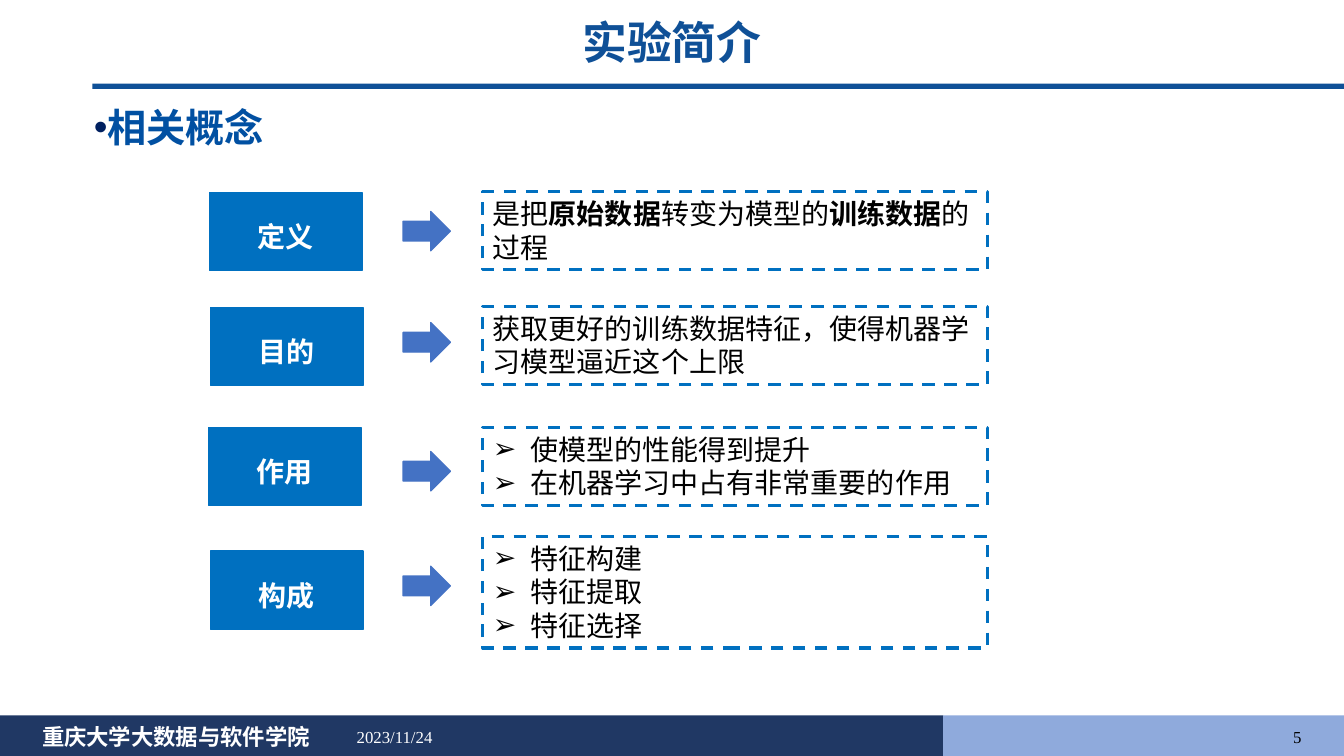
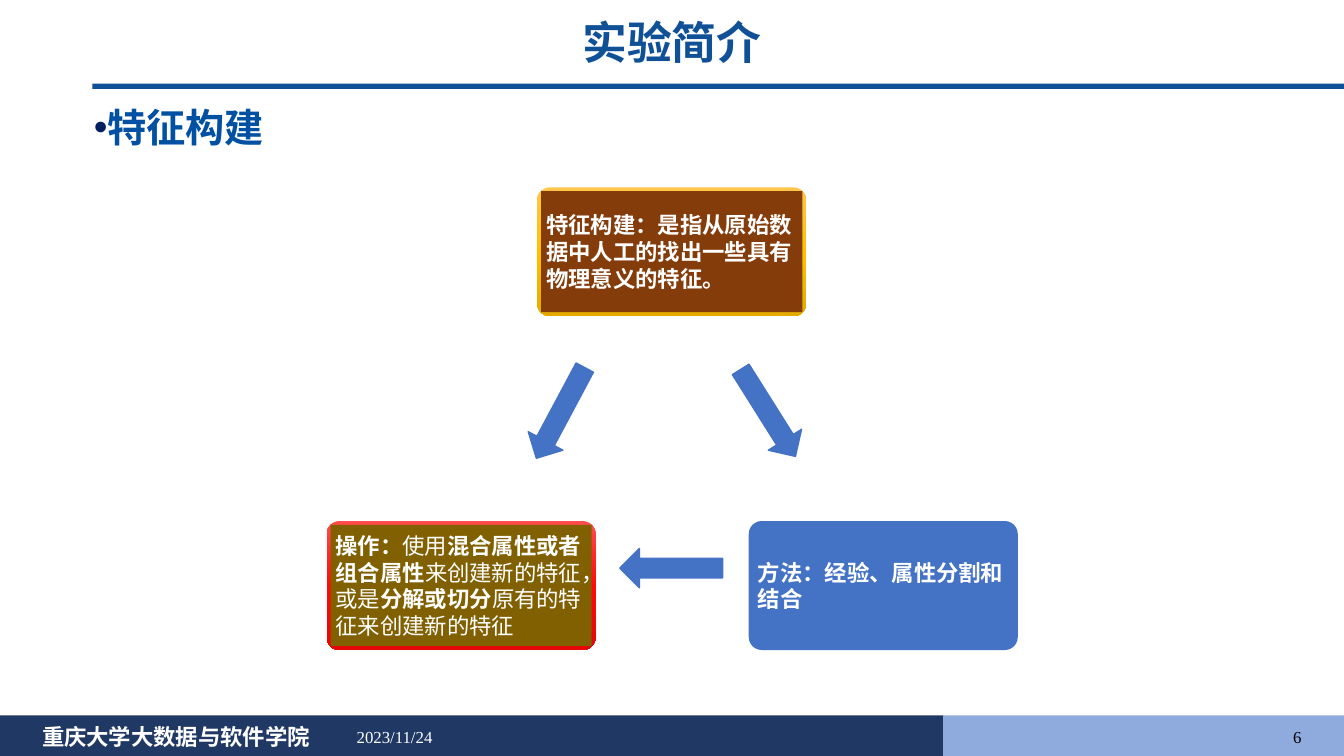
import copy
import pptx
import pptx.dml.color
import pptx.enum.dml
import pptx.enum.shapes
import pptx.enum.text
import pptx.oxml
import pptx.oxml.ns
import pptx.util

Cm, Pt = pptx.util.Cm, pptx.util.Pt
RGBColor = pptx.dml.color.RGBColor
Kind = pptx.enum.shapes.MSO_SHAPE
Align = pptx.enum.text.PP_ALIGN
Anchor = pptx.enum.text.MSO_ANCHOR
qn = pptx.oxml.ns.qn

WHITE = RGBColor(0xFF, 0xFF, 0xFF)
BLACK = RGBColor(0, 0, 0)
TITLE = RGBColor(0x0F, 0x50, 0x97)
HEAD = RGBColor(0x01, 0x50, 0xA2)
DOT = RGBColor(0x00, 0x20, 0x60)
NAVY = RGBColor(0x20, 0x38, 0x64)
PALE = RGBColor(0x8F, 0xAA, 0xDC)
BLUE = RGBColor(0x00, 0x70, 0xC0)
ARROW = RGBColor(0x44, 0x72, 0xC4)
BROWN = RGBColor(0x84, 0x3C, 0x0B)
OLIVE = RGBColor(0x80, 0x60, 0x00)
GOLDS = [RGBColor(0xFF, 0xC6, 0x4B), RGBColor(0xFF, 0xC0, 0x00), RGBColor(0xE3, 0xAB, 0x00)]
REDS = [RGBColor(0xFF, 0x4C, 0x4C), RGBColor(0xFF, 0x0B, 0x0B), RGBColor(0xE5, 0x07, 0x07)]
SERIF, SANS = "Times New Roman", "Noto Sans CJK SC"


def draw(slide, kind, box, fill=None, line=None, width=1):
    shape = slide.shapes.add_shape(kind, *[Cm(n) for n in box])
    shape.shadow.inherit = False
    if fill is None:
        shape.fill.background()
    else:
        shape.fill.solid()
        shape.fill.fore_color.rgb = fill
    if line is None:
        shape.line.fill.background()
    else:
        shape.line.color.rgb = line
        shape.line.width = Pt(width)
    return shape


def write(frame, lines, size, color, font=SANS, bold=False, align=Align.LEFT,
          anchor=Anchor.TOP, bullet=None):
    """Fill a frame; stars enclose bold parts; bullet is (char, colour, margin, indent)."""
    frame.word_wrap = True
    frame.auto_size = pptx.enum.text.MSO_AUTO_SIZE.NONE
    frame.vertical_anchor = anchor
    for i, line in enumerate(lines):
        par = frame.add_paragraph() if i else frame.paragraphs[0]
        par.alignment = align
        par.space_before = Pt(0)
        for j, part in enumerate(line.split("*")):
            if not part:
                continue
            run = par.add_run()
            run.text = part
            run.font.size = Pt(size)
            run.font.bold = bold or j % 2 == 1
            run.font.name = font
            run.font.color.rgb = color
            east = run.font._element.find(qn("a:latin"))
            east.addnext(east.makeelement(qn("a:ea"), {"typeface": SANS}))
        if bullet:
            char, tint, left, indent = bullet
            props = par._p.get_or_add_pPr()
            props.set("marL", str(Cm(left)))
            props.set("indent", str(Cm(indent)))
            ns = pptx.oxml.ns.nsdecls("a")
            for xml in (f'<a:buClr {ns}><a:srgbClr val="{tint}"/></a:buClr>',
                        f'<a:buFont {ns} typeface="Arial"/>',
                        f'<a:buChar {ns} char="{char}"/>'):
                props.append(pptx.oxml.parse_xml(xml))


prs = pptx.Presentation()
prs.slide_width, prs.slide_height = Cm(33.87), Cm(19.05)

# Title, heading, rule and footer on both slides
for page, head in ((5, "相关概念"), (6, "特征构建")):
    slide = prs.slides.add_slide(prs.slide_layouts[1])
    title, body = slide.placeholders
    for holder, box in ((title, (0, 0.25, 33.87, 1.63)), (body, (2.11, 2.24, 16.94, 1.57))):
        holder.left, holder.top, holder.width, holder.height = [Cm(n) for n in box]
    write(title.text_frame, ["实验简介"], 32, TITLE, SERIF, True, Align.CENTER)
    write(body.text_frame, [head], 28, HEAD, SERIF, True, Align.JUSTIFY,
          bullet=("•", DOT, 0, -0.71))
    body.text_frame.paragraphs[0].line_spacing = 1.2
    for box, fill in (((2.33, 2.11, 31.54, 0.13), TITLE),
                      ((0, 18.03, 23.77, 1.02), NAVY),
                      ((23.77, 18.03, 10.1, 1.02), PALE)):
        draw(slide, Kind.RECTANGLE, box, fill)
    for text, left, width, size, color, bold, align in (
            ("重庆大学大数据与软件学院", 0.81, 8.1, 16, WHITE, True, Align.LEFT),
            ("2023/11/24", 8.74, 7.62, 12, WHITE, False, Align.LEFT),
            (str(page), 25.43, 7.62, 12, BLACK, False, Align.RIGHT)):
        note = slide.shapes.add_textbox(Cm(left), Cm(18.06), Cm(width), Cm(1.02))
        write(note.text_frame, [text], size, color, SERIF, bold, align, Anchor.MIDDLE)

first, second = prs.slides

# Concepts: label, arrow, dashed box
rows = [
    ("定义", 5.28, 4.85, 5.33, 4.83, 1.96, ["是把*原始数据*转变为模型的*训练数据*的过程"], False),
    ("目的", 5.31, 7.75, 8.13, 7.72, 1.96,
     ["获取更好的训练数据特征，使得机器学习模型逼近这个上限"], False),
    ("作用", 5.26, 10.77, 11.38, 10.77, 1.96,
     ["使模型的性能得到提升", "在机器学习中占有非常重要的作用"], True),
    ("构成", 5.31, 13.89, 14.27, 13.51, 2.82, ["特征构建", "特征提取", "特征选择"], True),
]
for name, left, top, mid, high, tall, lines, listed in rows:
    label = draw(first, Kind.RECTANGLE, (left, top, 3.84, 1.97), BLUE, BLUE)
    frame = label.text_frame
    frame.margin_left = frame.margin_right = Cm(0.18)
    frame.margin_top = frame.margin_bottom = Cm(0.1)
    write(frame, [name], 20, WHITE, SANS, True, Align.CENTER, Anchor.MIDDLE)
    frame.paragraphs[0].line_spacing = 1.3
    frame.paragraphs[0].space_before = Pt(12)
    draw(first, Kind.RIGHT_ARROW, (10.16, mid, 1.19, 0.99), ARROW, ARROW)
    panel = draw(first, Kind.RECTANGLE, (12.17, high, 12.72, tall), None, BLUE, 2.25)
    panel.line.dash_style = pptx.enum.dml.MSO_LINE.DASH
    write(panel.text_frame, lines, 20, BLACK,
          bullet=("➢", BLACK, 0.95, -0.95) if listed else None)

# Feature building: three cards joined by arrows
cards = [
    (13.54, 4.72, GOLDS, BROWN, "*特征构建：是指从原始数据中人工的找出一些具有物理意义的特征。*"),
    (18.87, 13.13, None, ARROW, "*方法：经验、属性分割和结合*"),
    (8.23, 13.13, REDS, OLIVE,
     "*操作：*使用*混合属性或者组合属性*来创建新的特征，或是*分解或切分*原有的特征来创建新的特征"),
]
for left, top, shades, fill, text in cards:
    rim = draw(second, Kind.ROUNDED_RECTANGLE, (left, top, 6.78, 3.25), fill)
    rim.adjustments[0] = 0.1
    if shades:
        rim.fill.gradient()
        rim.fill.gradient_angle = 270
        stops = rim._element.spPr.find(".//" + qn("a:gsLst"))
        stops.insert(1, copy.deepcopy(stops[0]))
        for i, (stop, shade) in enumerate(zip(rim.fill.gradient_stops, shades)):
            stop.position = i / 2
            stop.color.rgb = shade
    core = draw(second, Kind.RECTANGLE, (left + 0.1, top + 0.1, 6.58, 3.05), fill)
    frame = core.text_frame
    frame.margin_left = frame.margin_right = frame.margin_top = frame.margin_bottom = Cm(0.13)
    write(frame, [text], 16, WHITE, anchor=Anchor.MIDDLE)

for left, top, turn in ((18.06, 9.91, 57.8), (15.62, 13.82, 180), (12.83, 9.91, 118.1)):
    arrow = draw(second, Kind.RIGHT_ARROW, (left, top, 2.59, 0.99), ARROW, ARROW)
    arrow.rotation = turn

prs.save("out.pptx")
